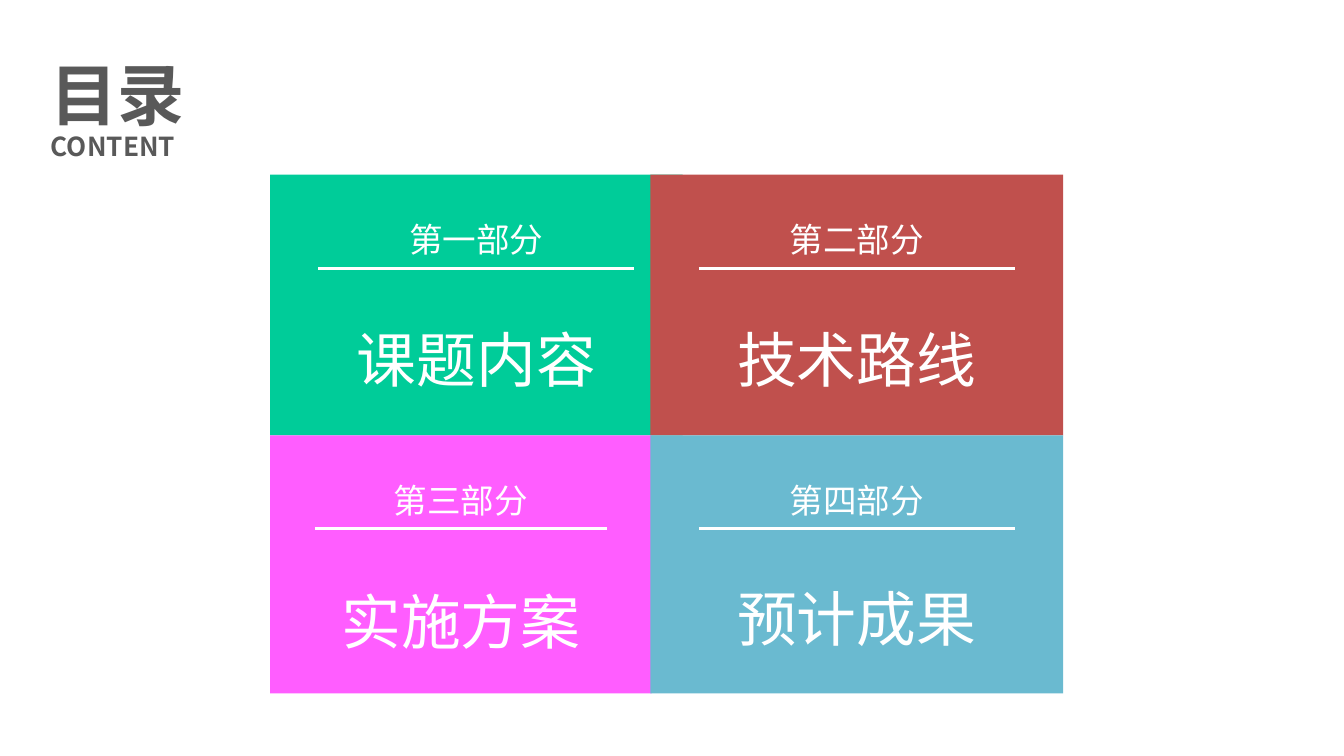
from dataclasses import dataclass

from lxml.etree import SubElement
from pptx import Presentation
from pptx.dml.color import RGBColor
from pptx.enum.shapes import MSO_CONNECTOR, MSO_SHAPE
from pptx.enum.text import PP_ALIGN as Align
from pptx.oxml.ns import qn
from pptx.util import Inches, Pt

FONT = "Noto Sans CJK SC"
COLORS = {
    "heading": "595959",
    "white": "FFFFFF",
    "green": "00CC99",
    "red": "C0504D",
    "pink": "FF5DFF",
    "blue": "6ABAD0",
}
LABEL_WIDTH, LABEL_HEIGHT, LABEL_OFFSET = 1.7, 0.3, 0.28


@dataclass
class Tile:
    label: str
    title: str
    color: str
    left: float
    top: float
    height: float
    rule_offset: float
    title_offset: float
    width: float = 3.07
    rule_width: float = 2.35
    title_width: float = 2.44
    title_height: float = 0.48
    text_fill: str | None = None

    @property
    def center(self) -> float:
        return self.left + self.width / 2


LEFT, RIGHT = 2.01, 4.84
UPPER, LOWER = 1.3, 3.24
TILES = [
    Tile("第一部分", "课题内容", "green", LEFT, UPPER, 1.94, 0.7, 1.05),
    Tile("第二部分", "技术路线", "red", RIGHT, UPPER, 1.94, 0.7, 1.05),
    Tile("第三部分", "实施方案", "pink", LEFT, LOWER, 1.92, 0.69, 1.06, width=2.84,
         rule_width=2.17, title_width=2.25, title_height=0.64, text_fill="pink"),
    Tile("第四部分", "预计成果", "blue", RIGHT, LOWER, 1.92, 0.69, 1.04),
]


def rgb(name: str) -> RGBColor:
    return RGBColor.from_string(COLORS[name])


def write(paragraph, text: str, *, size: float, color: str = "white",
          bold: bool = False, align=Align.CENTER, spacing: float = 1.0) -> None:
    paragraph.alignment = align
    paragraph.line_spacing = spacing
    run = paragraph.add_run()
    run.text = text
    run.font.size = Pt(size)
    run.font.bold = bold
    run.font.name = FONT
    run.font.color.rgb = rgb(color)
    east_asian = SubElement(run.font._element, qn("a:ea"))
    east_asian.set("typeface", FONT)


def add_centered_text(shapes, text: str, center: float, top: float, width: float,
                      height: float, *, size: float, fill: str | None) -> None:
    box = shapes.add_textbox(Inches(center - width / 2), Inches(top),
                             Inches(width), Inches(height))
    if fill:
        box.fill.solid()
        box.fill.fore_color.rgb = rgb(fill)
    frame = box.text_frame
    frame.word_wrap = True
    write(frame.paragraphs[0], text, size=size)


def add_rule(shapes, center: float, top: float, width: float) -> None:
    rule = shapes.add_connector(
        MSO_CONNECTOR.STRAIGHT, Inches(center - width / 2), Inches(top),
        Inches(center + width / 2), Inches(top))
    rule.line.color.rgb = rgb("white")
    rule.line.width = Pt(1.5)
    SubElement(rule._element.spPr, qn("a:effectLst"))


def add_tile(slide, tile: Tile) -> None:
    shapes = slide.shapes.add_group_shape().shapes
    panel = shapes.add_shape(MSO_SHAPE.RECTANGLE, Inches(tile.left), Inches(tile.top),
                             Inches(tile.width), Inches(tile.height))
    panel.shadow.inherit = False
    panel.fill.solid()
    panel.fill.fore_color.rgb = rgb(tile.color)
    panel.line.fill.background()
    add_rule(shapes, tile.center, tile.top + tile.rule_offset, tile.rule_width)
    add_centered_text(shapes, tile.title, tile.center, tile.top + tile.title_offset,
                      tile.title_width, tile.title_height, size=32, fill=tile.text_fill)
    add_centered_text(shapes, tile.label, tile.center, tile.top + LABEL_OFFSET,
                      LABEL_WIDTH, LABEL_HEIGHT, size=18, fill=tile.text_fill)


def add_heading(slide) -> None:
    box = slide.shapes.add_textbox(Inches(0.28), Inches(0.35), Inches(2.76), Inches(0.94))
    frame = box.text_frame
    frame.word_wrap = True
    heading = {"color": "heading", "bold": True, "align": Align.LEFT}
    write(frame.paragraphs[0], "目录", size=36, **heading)
    write(frame.add_paragraph(), "CONTENT", size=14, spacing=0.9, **heading)


def main() -> None:
    presentation = Presentation()
    presentation.slide_width = Inches(10)
    presentation.slide_height = Inches(10 * 9 / 16)
    slide = presentation.slides.add_slide(presentation.slide_layouts[6])
    add_heading(slide)
    for tile in TILES:
        add_tile(slide, tile)
    presentation.save("out.pptx")


if __name__ == "__main__":
    main()
